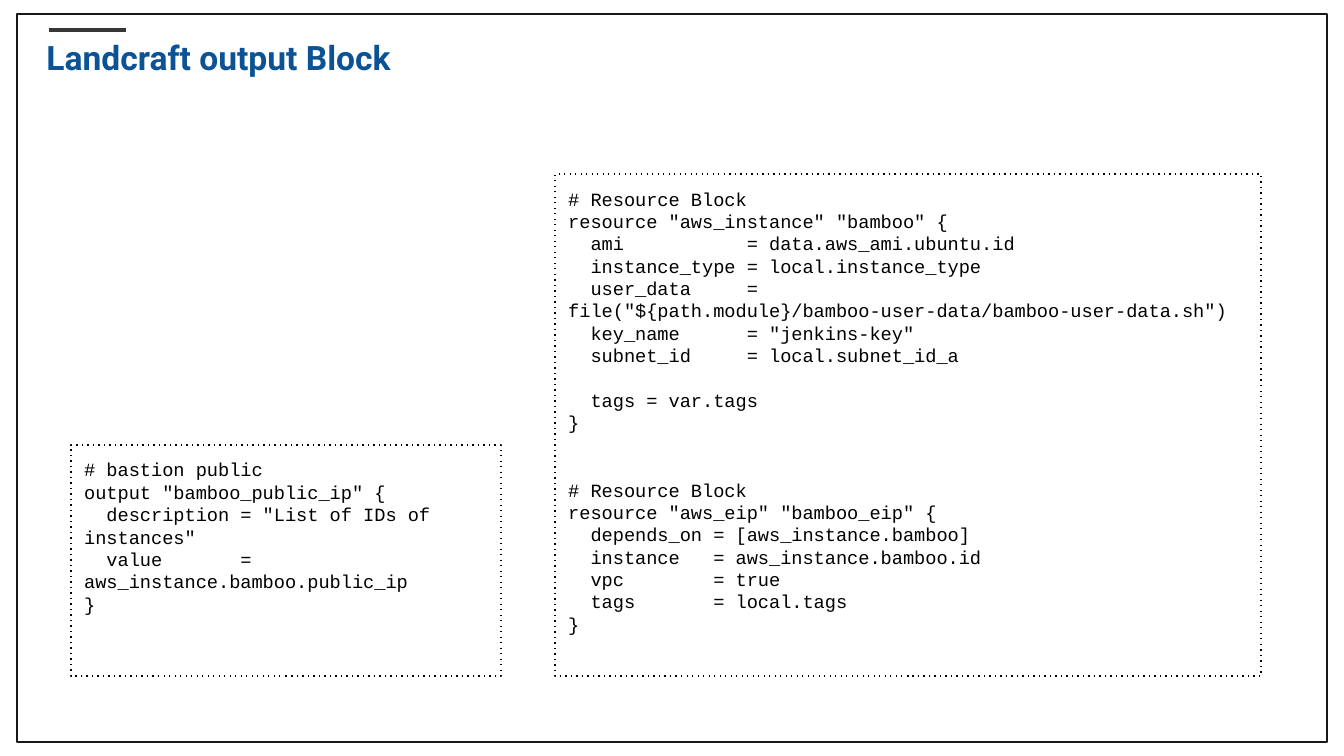
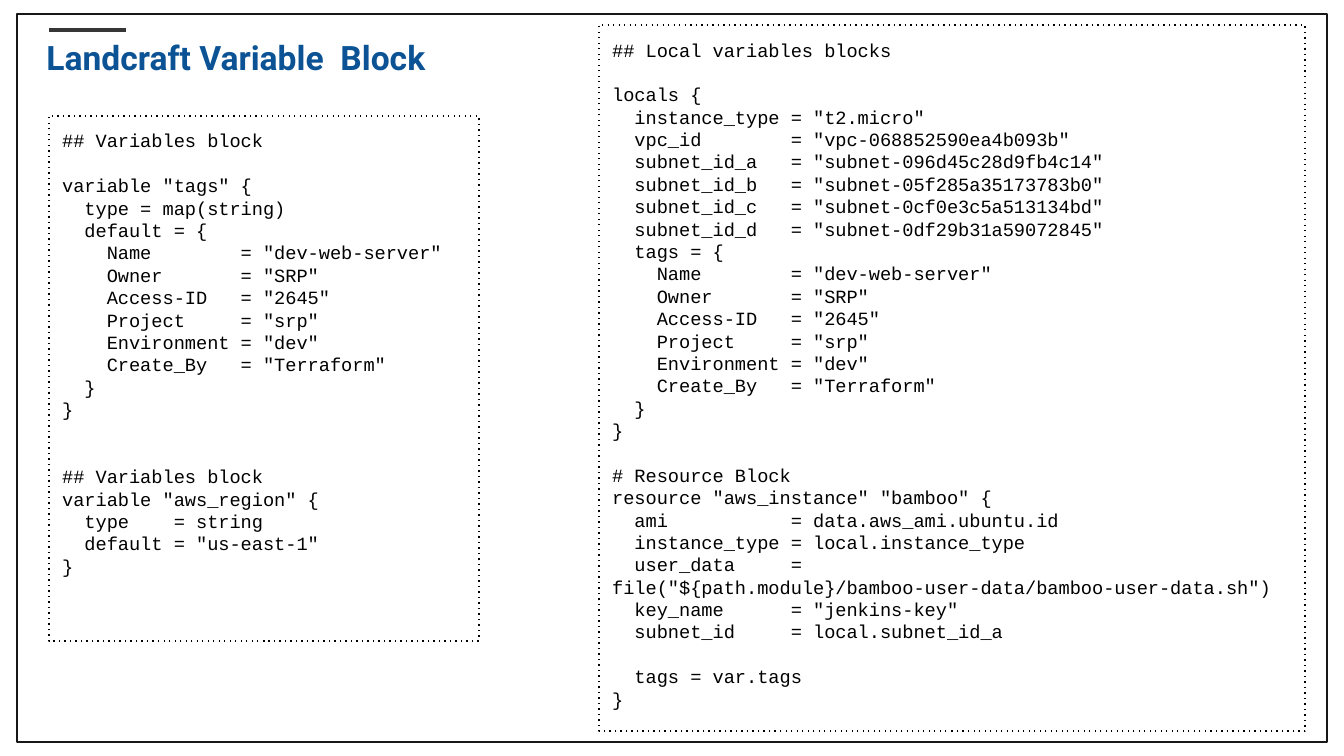
from collections import namedtuple

from lxml.etree import SubElement
from pptx import Presentation
from pptx.dml.color import RGBColor
from pptx.enum.dml import MSO_LINE
from pptx.enum.shapes import MSO_CONNECTOR, MSO_SHAPE
from pptx.enum.text import MSO_ANCHOR, MSO_AUTO_SIZE, PP_ALIGN
from pptx.oxml.ns import qn
from pptx.util import Inches, Pt

SLIDE_WIDTH, SLIDE_HEIGHT = 1344, 756
SCALE = Inches(10) / SLIDE_WIDTH
TITLE_ONLY = 5

BLACK = RGBColor(0x00, 0x00, 0x00)
FRAME_INK = RGBColor(0x17, 0x17, 0x17)
BAR_GREY = RGBColor(0x36, 0x36, 0x36)
TITLE_BLUE = RGBColor(0x0B, 0x53, 0x94)
TITLE_FONT = "Roboto"
CODE_FONT = "Courier New"
CODE_LEADING = 12

Box = namedtuple("Box", "left top width height")
FRAME = Box(17, 14, 1310, 728)
TITLE = Box(33, 30, 1060, 54)

INSTANCE_RESOURCE = """\
# Resource Block
resource "aws_instance" "bamboo" {
  ami           = data.aws_ami.ubuntu.id
  instance_type = local.instance_type
  user_data     = file("${path.module}/bamboo-user-data/bamboo-user-data.sh")
  key_name      = "jenkins-key"
  subnet_id     = local.subnet_id_a

  tags = var.tags
}
"""

ADDRESS_RESOURCE = """\
# Resource Block
resource "aws_eip" "bamboo_eip" {
  depends_on = [aws_instance.bamboo]
  instance   = aws_instance.bamboo.id
  vpc        = true
  tags       = local.tags
}
"""

PUBLIC_IP_OUTPUT = """\
# bastion public
output "bamboo_public_ip" {
  description = "List of IDs of instances"
  value       = aws_instance.bamboo.public_ip
}
"""

TAG_ENTRIES = """\
    Name        = "dev-web-server"
    Owner       = "SRP"
    Access-ID   = "2645"
    Project     = "srp"
    Environment = "dev"
    Create_By   = "Terraform"
  }
}
"""

TAGS_VARIABLE = """\
## Variables block

variable "tags" {
  type = map(string)
  default = {
""" + TAG_ENTRIES

REGION_VARIABLE = """\
## Variables block
variable "aws_region" {
  type    = string
  default = "us-east-1"
}
"""

LOCALS = """\
## Local variables blocks

locals {
  instance_type = "t2.micro"
  vpc_id        = "vpc-068852590ea4b093b"
  subnet_id_a   = "subnet-096d45c28d9fb4c14"
  subnet_id_b   = "subnet-05f285a35173783b0"
  subnet_id_c   = "subnet-0cf0e3c5a513134bd"
  subnet_id_d   = "subnet-0df29b31a59072845"
  tags = {
""" + TAG_ENTRIES


def px(length):
    return round(length * SCALE)


def add_outline(page, box, color):
    shape = page.shapes.add_shape(MSO_SHAPE.RECTANGLE, *map(px, box))
    shape.shadow.inherit = False
    shape.fill.background()
    shape.line.color.rgb = color
    shape.line.width = Pt(0.75)
    return shape


def set_frame(frame, side, upright):
    frame.word_wrap = True
    frame.auto_size = MSO_AUTO_SIZE.NONE
    frame.vertical_anchor = MSO_ANCHOR.TOP
    frame.margin_left = frame.margin_right = Inches(side)
    frame.margin_top = frame.margin_bottom = Inches(upright)


def add_span(para, text, font, size, color, bold=False):
    span = para.add_run()
    span.text = text
    span.font.name = font
    span.font.size = Pt(size)
    span.font.color.rgb = color
    span.font.bold = bold


def place_title(page, box, text):
    title = page.shapes.title
    title.left, title.top, title.width, title.height = map(px, box)
    set_frame(title.text_frame, 0.1, 0.05)
    para = title.text_frame.paragraphs[0]
    para.alignment = PP_ALIGN.LEFT
    add_span(para, text, TITLE_FONT, 18, TITLE_BLUE, True)

    start, end, level = px(box.left + 16), px(box.left + 93), px(box.top)
    bar = page.shapes.add_connector(MSO_CONNECTOR.STRAIGHT, start, level, end, level)
    bar.line.color.rgb = BAR_GREY
    bar.line.width = Pt(2.25)
    SubElement(bar._element.spPr, qn("a:effectLst"))


def add_code(page, box, code):
    panel = add_outline(page, box, BLACK)
    panel.line.dash_style = MSO_LINE.ROUND_DOT
    panel._element.spPr.find(".//" + qn("a:prstDash")).set("val", "dot")
    set_frame(panel.text_frame, 0.1, 0.1)

    para = panel.text_frame.paragraphs[0]
    blanks = 0
    for number, line in enumerate(code.splitlines()):
        if not line:
            blanks += 1
            continue
        if number:
            para = panel.text_frame.add_paragraph()
        para.alignment = PP_ALIGN.LEFT
        para.line_spacing = Pt(CODE_LEADING)
        if blanks:
            para.space_before = Pt(blanks * CODE_LEADING)
        add_span(para, line, CODE_FONT, 10, BLACK)
        blanks = 0


def add_page(deck, title, panels):
    page = deck.slides.add_slide(deck.slide_layouts[TITLE_ONLY])
    add_outline(page, FRAME, FRAME_INK)
    place_title(page, TITLE, title)
    for box, code in panels:
        add_code(page, box, code)


def main():
    deck = Presentation()
    deck.slide_width, deck.slide_height = px(SLIDE_WIDTH), px(SLIDE_HEIGHT)
    add_page(deck, "Landcraft output Block", [
        (Box(71, 445, 430, 231), PUBLIC_IP_OUTPUT),
        (Box(555, 174, 706, 502), INSTANCE_RESOURCE + "\n\n" + ADDRESS_RESOURCE),
    ])
    add_page(deck, "Landcraft Variable  Block", [
        (Box(49, 116, 430, 525), TAGS_VARIABLE + "\n\n" + REGION_VARIABLE),
        (Box(599, 25, 706, 706), LOCALS + "\n" + INSTANCE_RESOURCE),
    ])
    deck.save("out.pptx")


if __name__ == "__main__":
    main()
